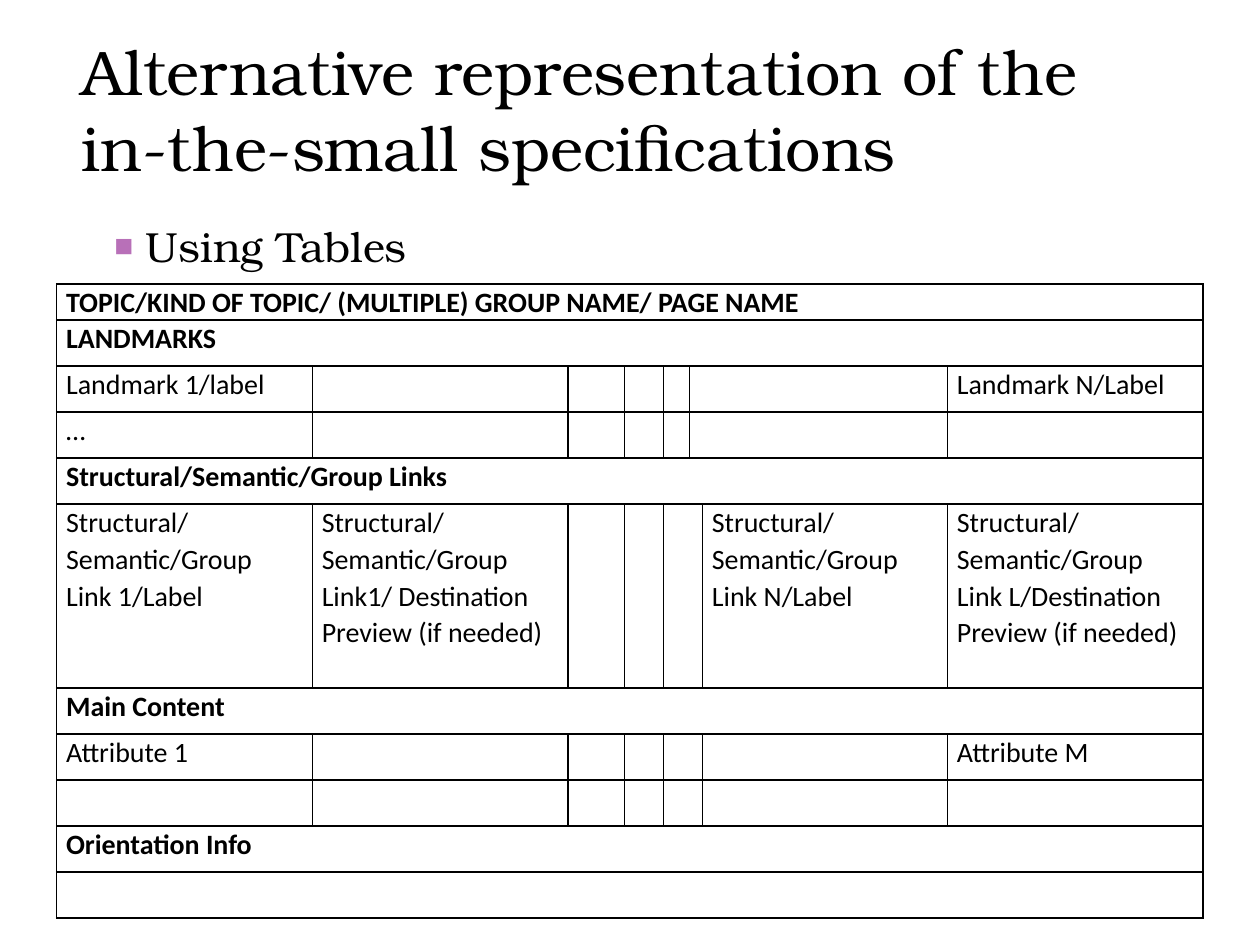
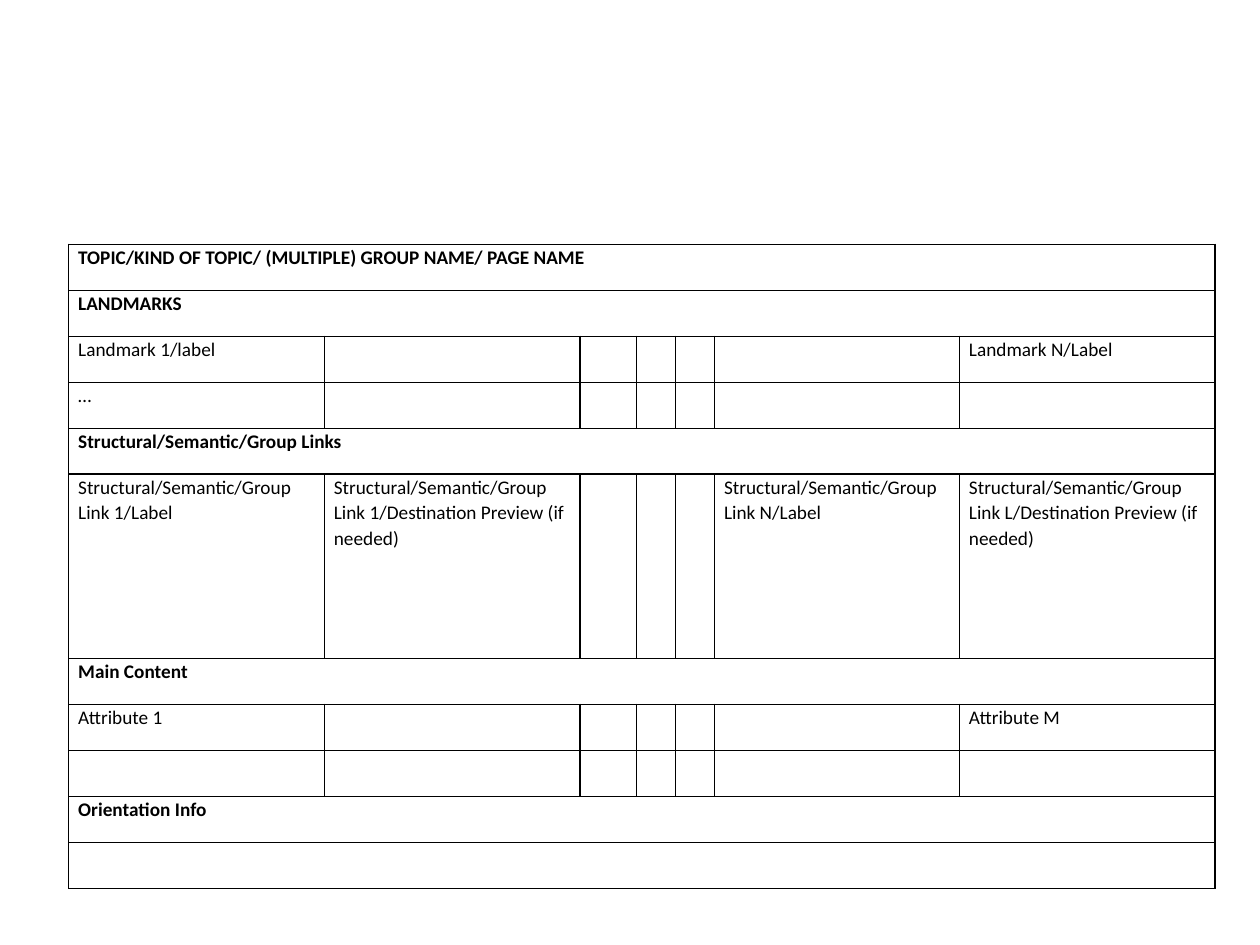
from lxml.etree import SubElement
from pptx import Presentation
from pptx.dml.color import RGBColor
from pptx.enum.text import MSO_ANCHOR
from pptx.oxml.ns import qn
from pptx.util import Pt

BLACK = "000000"
WHITE = "FFFFFF"
BULLET = "B870B8"
HEADING_FONT = "TeX Gyre Bonum"
TABLE_FONT = "Calibri"
WIDE, LINK, ROW = 146.1, 140, 26.3
ROW_HEIGHTS = [ROW] * 5 + [4 * ROW] + [ROW] * 5
CELL_FORMAT = {"margin_left": Pt(5.4), "margin_right": Pt(5.4), "margin_top": 0, "margin_bottom": 0}


def color(value):
    return RGBColor.from_string(value)


def apply(target, values):
    for name, value in values.items():
        setattr(target, name, value)


def write(para, text, font, size, bold=False):
    span = para.add_run()
    span.text = text
    apply(span.font, {"name": font, "size": Pt(size), "bold": bold})
    span.font.color.rgb = color(BLACK)


def add_text(page, box, text, size):
    frame = page.shapes.add_textbox(*map(Pt, box)).text_frame
    apply(frame, {"word_wrap": True, "vertical_anchor": MSO_ANCHOR.TOP})
    para = frame.paragraphs[0]
    write(para, text, HEADING_FONT, size)
    return para


def add_bullet(page, box, text):
    para = add_text(page, box, text, 24)
    para.space_before = Pt(6)
    properties = para._p.get_or_add_pPr()
    properties.set("marL", str(Pt(36)))
    properties.set("indent", str(Pt(-18)))
    SubElement(SubElement(properties, qn("a:buClr")), qn("a:srgbClr"), val=BULLET)
    SubElement(properties, qn("a:buSzPct"), val="75000")
    SubElement(properties, qn("a:buFont"), typeface="Arial")
    SubElement(properties, qn("a:buChar"), char="■")


def style_cell(cell):
    apply(cell, CELL_FORMAT)
    properties = cell._tc.get_or_add_tcPr()
    for side in ("a:lnL", "a:lnR", "a:lnT", "a:lnB"):
        line = SubElement(properties, qn(side), w=str(Pt(1)))
        SubElement(SubElement(line, qn("a:solidFill")), qn("a:srgbClr"), val=BLACK)
    cell.fill.solid()
    cell.fill.fore_color.rgb = color(WHITE)


def specification_rows(first_preview):
    group = "Structural/Semantic/Group "
    blank = [""] * 7
    return [
        ["TOPIC/KIND OF TOPIC/ (MULTIPLE) GROUP NAME/ PAGE NAME"],
        ["LANDMARKS"],
        ["Landmark 1/label", *blank[:5], "Landmark N/Label"],
        ["…", *blank[:6]],
        ["Structural/Semantic/Group Links"],
        [group + "Link 1/Label", group + first_preview, *blank[:3],
         group + "Link N/Label", group + "Link L/Destination Preview (if needed)"],
        ["Main Content"],
        ["Attribute 1", *blank[:5], "Attribute M"],
        blank,
        ["Orientation Info"],
        [""],
    ]


def add_specification(page, left, top, widths, heights, rows, size, merges):
    box = map(Pt, (left, top, sum(widths), sum(heights)))
    table = page.shapes.add_table(len(rows), len(widths), *box).table
    apply(table, {"first_row": False, "horz_banding": False})
    for column, width in zip(table.columns, widths):
        column.width = Pt(width)
    for row, height in zip(table.rows, heights):
        row.height = Pt(height)
    for cell in table.iter_cells():
        style_cell(cell)
    last = len(widths) - 1
    for index, texts in enumerate(rows):
        heading = len(texts) == 1
        merged = merges.get(index)
        if heading:
            table.cell(index, 0).merge(table.cell(index, last))
        elif merged is not None:
            table.cell(index, merged).merge(table.cell(index, merged + 1))
        for position, text in enumerate(texts):
            shift = merged is not None and position > merged
            if text:
                para = table.cell(index, position + shift).text_frame.paragraphs[0]
                para.line_spacing = 1.07
                write(para, text, TABLE_FONT, size, heading)


def build_overview(page):
    title = "Alternative representation of the in-the-small specifications"
    add_text(page, (39.6, 15.1, 594.7, 87.8), title, 36)
    add_bullet(page, (40.3, 122.4, 594.7, 56.9), "Using Tables")
    widths = [WIDE, WIDE, 32.3, 22.3, 14.9, 7.4, LINK, WIDE]
    rows = specification_rows("Link1/ Destination Preview (if needed)")
    merges = {2: 5, 3: 5, 5: 4, 7: 4, 8: 4}
    add_specification(page, 32.4, 162.2, widths, [20.6] + ROW_HEIGHTS[1:], rows, 16, merges)


def build_table_page(page):
    widths = [WIDE, WIDE, 32.3, 22.3, 22.3, LINK, WIDE]
    rows = specification_rows("Link 1/Destination Preview (if needed)")
    add_specification(page, 39.3, 139.6, widths, ROW_HEIGHTS, rows, 11, {})


def main():
    deck = Presentation()
    apply(deck, {"slide_width": Pt(720), "slide_height": Pt(540)})
    for build in (build_overview, build_table_page):
        build(deck.slides.add_slide(deck.slide_layouts[6]))
    deck.save("out.pptx")


if __name__ == "__main__":
    main()
